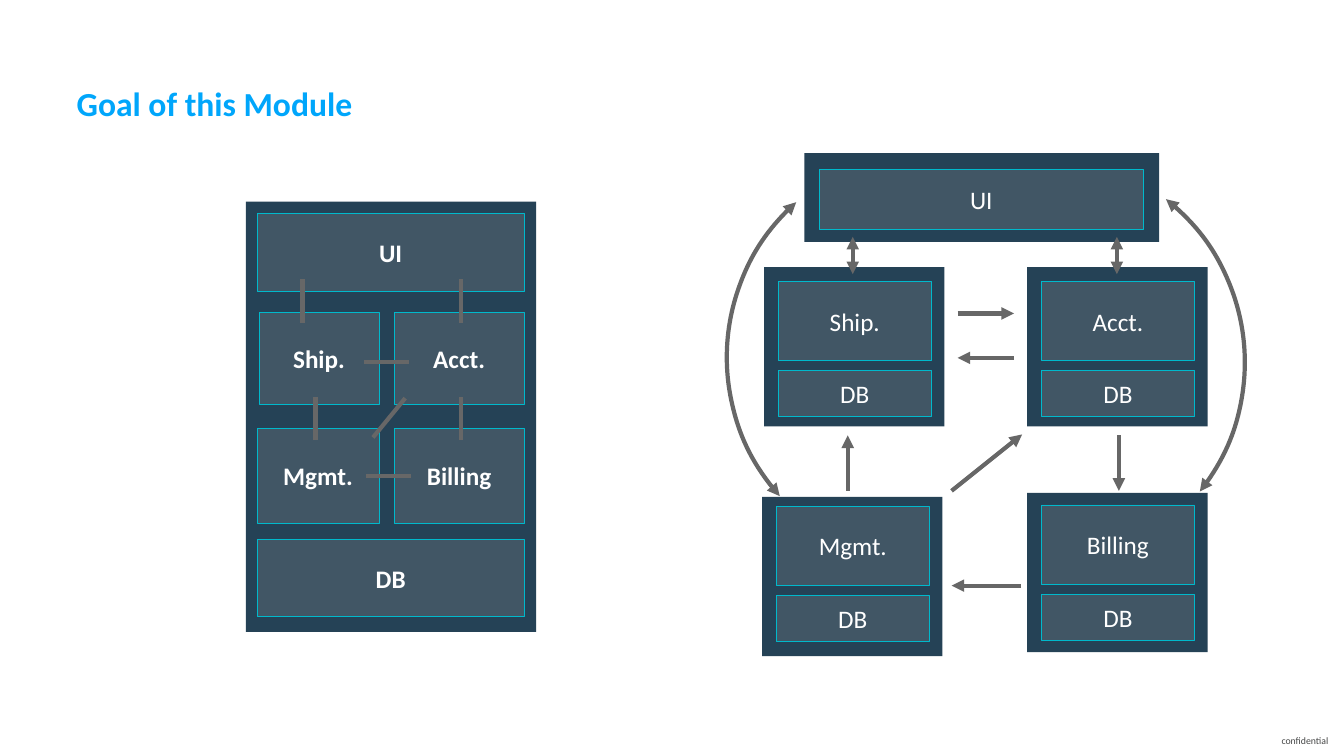
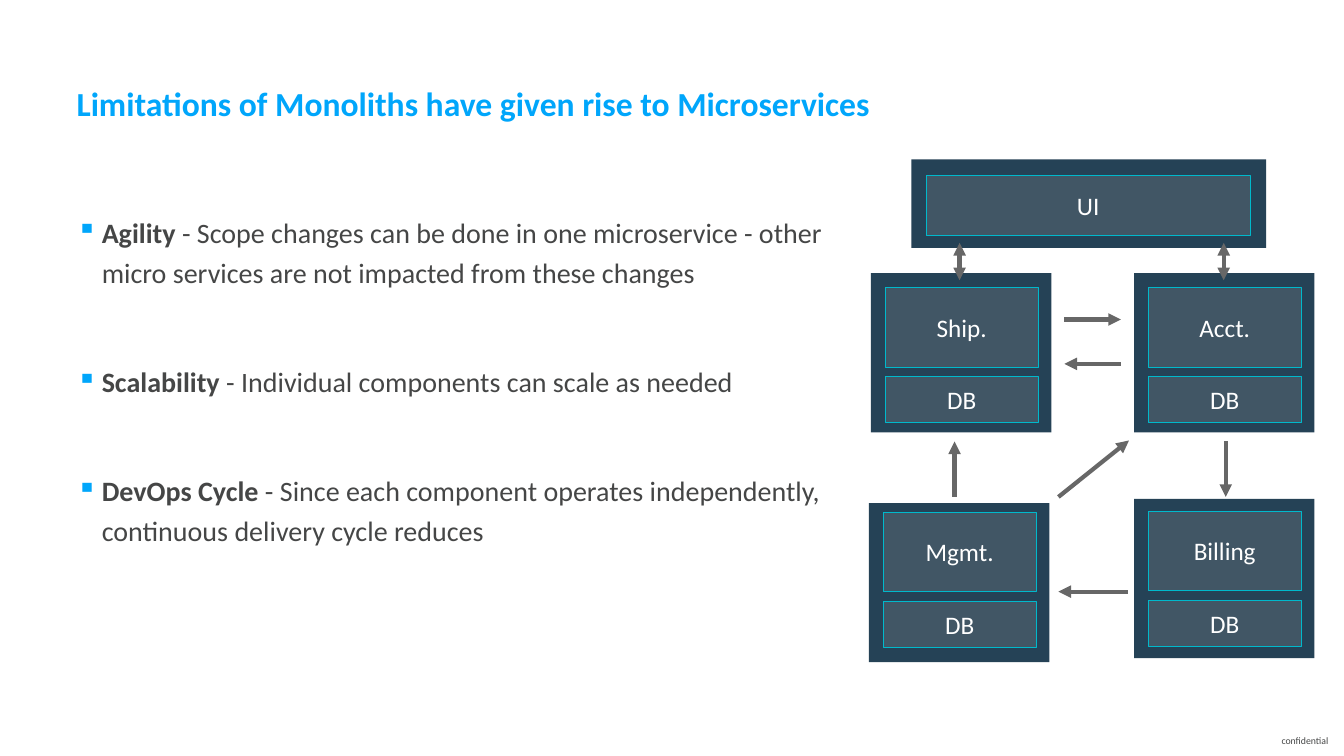
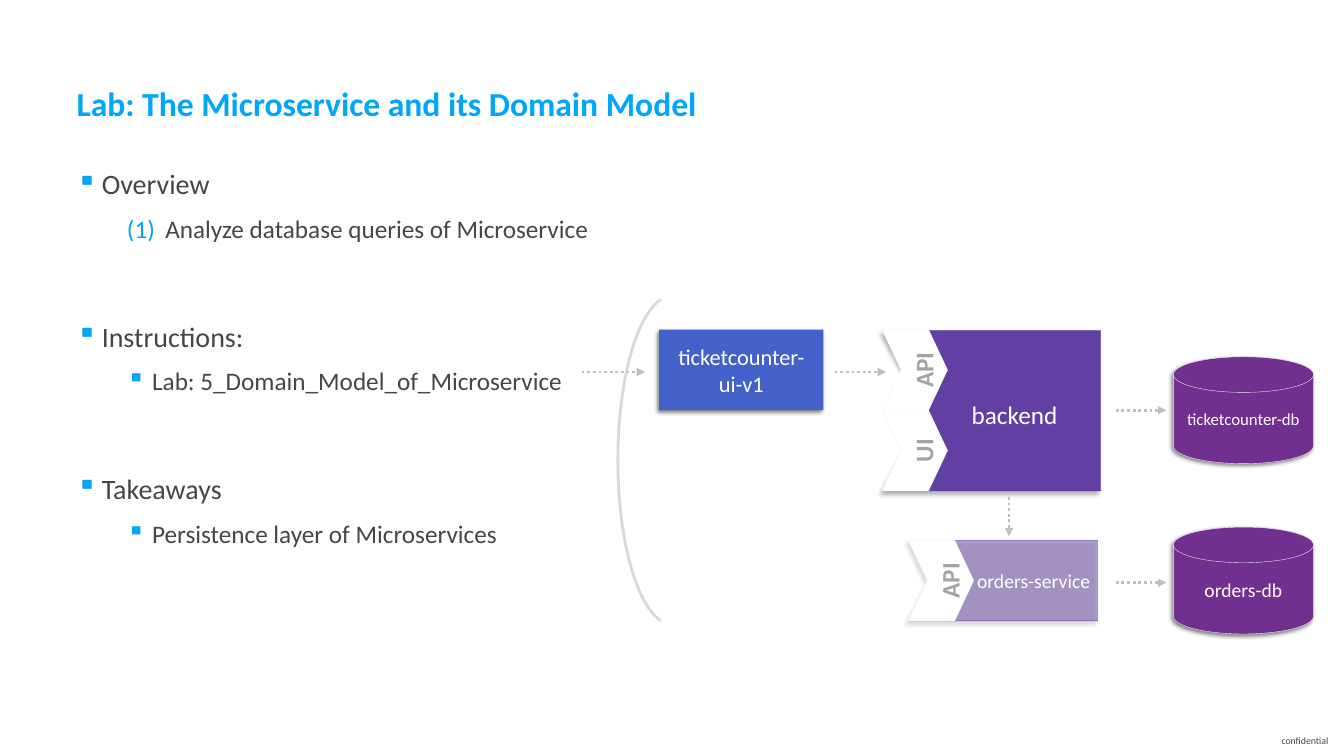
from dataclasses import dataclass
from math import cos, radians, sin

from lxml.etree import SubElement
from pptx import Presentation
from pptx.dml.color import RGBColor
from pptx.enum.dml import MSO_LINE as Dash
from pptx.enum.shapes import MSO_CONNECTOR as Connector, MSO_SHAPE as Preset
from pptx.enum.text import MSO_ANCHOR as Anchor, PP_ALIGN as Align
from pptx.oxml.ns import qn
from pptx.util import Inches, Pt


@dataclass(frozen=True)
class Theme:
    font: str = "Calibri"
    title: str = "00A6FB"
    body: str = "454646"
    white: str = "FFFFFF"
    frame: str = "254256"
    tile: str = "415665"
    tile_edge: str = "00B9CC"
    link: str = "676767"
    flow: str = "BFBFBF"
    bracket: str = "D9D9D9"
    pale_edge: str = "F2F2F2"
    port: str = "A2A3A3"
    frontend: str = "4361C8"
    backend: str = "6240A3"
    database: str = "712F90"
    title_size: int = 24
    body_size: int = 20
    label_size: int = 18
    medium_size: int = 16
    small_size: int = 14
    tiny_size: int = 12
    footer_size: int = 7


THEME = Theme()
SOFT_SHADOW = {"alpha": 30, "blur": 3, "distance": 3}
FIRM_SHADOW = {"alpha": 50, "blur": 3, "distance": 2}
NO_INSETS = (0, 0, 0, 0)
SECTION_GAP = 49


def grid(value):
    """Length of a number of grid cells; a cell is a tenth of an inch."""
    return Inches(value / 10)


def set_values(target, values):
    for name, value in values.items():
        setattr(target, name, value)


def add_xml(parent, tag, **attributes):
    return SubElement(parent, qn(tag), {k: str(v) for k, v in attributes.items()})


class Deck:
    """Style and current slide; all lengths are in grid cells."""

    columns, rows = 133.33, 75

    def __init__(self, theme):
        self.theme = theme
        self.presentation = Presentation()
        set_values(self.presentation, {"slide_width": grid(self.columns),
                                       "slide_height": grid(self.rows)})
        self.slide = None

    def new_slide(self, title):
        theme = self.theme
        self.slide = self.presentation.slides.add_slide(
            self.presentation.slide_layouts[6])
        self.label((122.9, 73, 13.1, 1), "confidential", theme.footer_size,
                   theme.body, insets=NO_INSETS, wrap=False)
        self.label((7.6, 6.2, 117.8, 7.3), title, theme.title_size, theme.title,
                   bold=True, align=Align.LEFT, insets=NO_INSETS, spacing=1.2)

    def add_run(self, paragraph, text, size, color, bold=False):
        run = paragraph.add_run()
        run.text = text
        set_values(run.font, {"name": self.theme.font, "size": Pt(size), "bold": bold})
        run.font.color.rgb = RGBColor.from_string(color)

    def frame(self, shape, insets=(1, 0.5, 1, 0.5), anchor=Anchor.MIDDLE, wrap=True):
        left, top, right, bottom = map(grid, insets)
        set_values(shape.text_frame, {
            "margin_left": left, "margin_top": top, "margin_right": right,
            "margin_bottom": bottom, "vertical_anchor": anchor, "word_wrap": wrap})
        return shape.text_frame

    def set_text(self, shape, text, size, color, bold=False, align=Align.CENTER,
                 spacing=1, **frame_values):
        paragraph = self.frame(shape, **frame_values).paragraphs[0]
        set_values(paragraph, {"alignment": align, "line_spacing": spacing})
        self.add_run(paragraph, text, size, color, bold)

    def label(self, box, text, size, color, rotation=0, **text_values):
        shape = self.slide.shapes.add_textbox(*map(grid, box))
        shape.rotation = rotation
        self.set_text(shape, text, size, color, **text_values)

    def paint(self, shape, fill=None, line=None, width=0.5, alpha=None, shadow=None):
        properties = shape._element.spPr
        for part, color in ((shape.fill, fill), (shape.line.fill, line)):
            if color is None:
                part.background()
            else:
                part.solid()
                part.fore_color.rgb = RGBColor.from_string(color)
        if line:
            shape.line.width = Pt(width)
        if alpha:
            color = properties.find(qn("a:solidFill") + "/" + qn("a:srgbClr"))
            add_xml(color, "a:alpha", val=alpha * 1000)
        shape.shadow.inherit = False
        if shadow:
            outer = add_xml(properties.find(qn("a:effectLst")), "a:outerShdw",
                            blurRad=Pt(shadow["blur"]), dist=Pt(shadow["distance"]),
                            dir=135 * 60000, algn="tr", rotWithShape=0)
            color = add_xml(outer, "a:srgbClr", val="000000")
            add_xml(color, "a:alpha", val=shadow["alpha"] * 1000)

    def shape(self, preset, box, **paint_values):
        shape = self.slide.shapes.add_shape(preset, *map(grid, box))
        self.paint(shape, **paint_values)
        return shape

    def outline(self, points, close=True, **paint_values):
        corners = [tuple(map(grid, point)) for point in points]
        builder = self.slide.shapes.build_freeform(*corners[0], scale=1.0)
        builder.add_line_segments(corners[1:], close=close)
        self.paint(builder.convert_to_shape(), **paint_values)

    def tile(self, box, text, bold=False):
        theme = self.theme
        shape = self.shape(Preset.RECTANGLE, box, fill=theme.tile, line=theme.tile_edge)
        self.set_text(shape, text, theme.label_size, theme.white, bold)

    def panel(self, box):
        self.shape(Preset.RECTANGLE, box, fill=self.theme.frame)

    def arrowheads(self, shape, head, tail):
        line = shape._element.spPr.find(qn("a:ln"))
        for wanted, tag in ((head, "a:headEnd"), (tail, "a:tailEnd")):
            if wanted:
                add_xml(line, tag, type="triangle")

    def connect(self, start, end, color=None, width=3, head=False, tail=False, dash=None):
        line = self.slide.shapes.add_connector(
            Connector.STRAIGHT, *map(grid, (*start, *end)))
        line.line.color.rgb = RGBColor.from_string(color or self.theme.link)
        line.line.width = Pt(width)
        if dash:
            line.line.dash_style = dash
        self.arrowheads(line, head, tail)
        add_xml(line._element.spPr, "a:effectLst")

    def flow(self, start, end):
        self.connect(start, end, self.theme.flow, 2, tail=True, dash=Dash.ROUND_DOT)

    def round_trip(self, box, rotation):
        arc = self.shape(Preset.ARC, box, line=self.theme.link, width=3)
        arc.rotation = rotation
        self.arrowheads(arc, True, True)

    def bullets(self, box, items):
        """Items are (level, space before, runs); a run is (text, bold)."""
        theme = self.theme
        shape = self.slide.shapes.add_textbox(*map(grid, box))
        text_frame = self.frame(shape, NO_INSETS, Anchor.TOP)
        # level: text indent, hanging indent, size, numbered
        levels = {"point": (2.5, 2.5, theme.body_size, False),
                  "detail": (7.5, 2.5, theme.label_size, False),
                  "step": (8.8, 3.8, theme.label_size, True)}
        for index, (level, space, runs) in enumerate(items):
            paragraph = text_frame.add_paragraph() if index else text_frame.paragraphs[0]
            indent, hanging, size, numbered = levels[level]
            set_values(paragraph, {"line_spacing": 1.2, "space_before": Pt(space)})
            properties = paragraph._p.get_or_add_pPr()
            properties.set("marL", str(grid(indent)))
            properties.set("indent", str(-grid(hanging)))
            add_xml(add_xml(properties, "a:buClr"), "a:srgbClr", val=theme.title)
            if numbered:
                add_xml(properties, "a:buAutoNum", type="arabicParenBoth")
            else:
                add_xml(properties, "a:buChar", char="▪")
            for text, bold in runs:
                self.add_run(paragraph, text, size, theme.body, bold)

    def port(self, left, top, text):
        """White chevron with an upright label."""
        theme = self.theme
        chevron = self.shape(Preset.CHEVRON, (left, top, 6.5, 8), fill=theme.white,
                             line=theme.pale_edge, width=0.25)
        chevron.adjustments[0] = 0.29
        self.label((left + 0.1, top + 2.4, 8, 3.2), text, theme.label_size,
                   theme.port, rotation=270, bold=True)

    def database(self, top, text, size):
        theme = self.theme
        disk = self.shape(Preset.FLOWCHART_MAGNETIC_DISK, (116.4, top, 13.9, 10.6),
                          fill=theme.database, line=theme.pale_edge, width=0.25,
                          shadow=FIRM_SHADOW)
        self.set_text(disk, text, size, theme.white)


def draw_monolith(deck):
    deck.panel((24.4, 20, 28.8, 42.7))
    for box, name in (((25.5, 21.2, 26.5, 7.7), "UI"),
                      ((25.7, 31, 11.9, 9.1), "Ship."),
                      ((39.1, 31, 12.9, 9.1), "Acct."),
                      ((25.5, 42.5, 12.1, 9.4), "Mgmt."),
                      ((39.1, 42.5, 12.9, 9.4), "Billing"),
                      ((25.5, 53.5, 26.5, 7.7), "DB")):
        deck.tile(box, name, bold=True)
    for start, end in (((36.1, 35.9), (40.6, 35.9)), ((37, 43.4), (40.2, 39.5)),
                       ((36.3, 47.2), (40.8, 47.2)), ((30, 32), (30, 27.7)),
                       ((45.7, 32), (45.7, 27.7)), ((45.7, 43.7), (45.7, 39.4)),
                       ((31.3, 43.7), (31.3, 39.4))):
        deck.connect(start, end)


def draw_microservices(deck, left, top):
    """The UI and four services, with the UI panel's corner at left, top."""
    deck.panel((left, top, 35.2, 8.8))
    deck.tile((left + 1.5, top + 1.6, 32.1, 6), "UI")
    for column, row, padding, name in ((-4, 11.3, 1.4, "Ship."),
                                       (22.1, 11.3, 1.4, "Acct."),
                                       (-4.2, 34.1, 0.9, "Mgmt."),
                                       (22.1, 33.7, 1.2, "Billing")):
        x, y = left + column, top + row
        deck.panel((x, y, 17.9, 15.8))
        deck.tile((x + 1.4, y + padding, 15.2, 7.9), name)
        deck.tile((x + 1.4, y + padding + 8.85, 15.2, 4.6), "DB")
    for x1, y1, x2, y2, both_ways in ((15.2, 15.9, 20.8, 15.9, False),
                                      (20.8, 20.3, 15.2, 20.3, False),
                                      (14.6, 33.5, 21.6, 27.9, False),
                                      (31.2, 28, 31.2, 33.5, False),
                                      (4.3, 33.5, 4.3, 28, False),
                                      (21.5, 42.9, 14.6, 42.9, False),
                                      (4.8, 12, 4.8, 8.3, True),
                                      (31, 12, 31, 8.3, True)):
        deck.connect((left + x1, top + y1), (left + x2, top + y2),
                     head=both_ways, tail=True)


def draw_service(deck, left, top, right, bottom, notch, alpha=None):
    """Block whose left side is cut in to the notch point."""
    deck.outline([(left, top), (right, top), (right, bottom), (left, bottom), notch],
                 fill=THEME.backend, line=THEME.backend, width=0.25, alpha=alpha,
                 shadow=SOFT_SHADOW)


def draw_lab(deck):
    draw_service(deck, 87.6, 32.8, 109.2, 48.7, (91.9, 40.7))
    angles = [radians(-78 + 4 * step) for step in range(40)]
    deck.outline([(66.7 - 5.4 * cos(a), 45.65 + 16.3 * sin(a)) for a in angles],
                 close=False, line=THEME.bracket, width=2)
    frontend = deck.shape(Preset.RECTANGLE, (65.4, 32.7, 16.3, 8),
                          fill=THEME.frontend, shadow=FIRM_SHADOW)
    deck.set_text(frontend, "ticketcounter-ui-v1", THEME.medium_size, THEME.white,
                  insets=(1.3, 0.5, 1.3, 0.5))
    deck.label((92.5, 39.1, 16.3, 4), "backend", THEME.label_size, THEME.white)
    deck.port(87.5, 32.7, "API")
    deck.port(87.5, 40.7, "UI")

    draw_service(deck, 90.2, 53.6, 108.9, 61.6, (92.2, 57.8), alpha=47)
    deck.port(90.1, 53.6, "API")
    deck.label((94.4, 55.9, 16.3, 3.4), "orders-service", THEME.small_size, THEME.white)

    for start, end in (((57.7, 36.9), (64, 36.9)), ((82.8, 36.9), (87.9, 36.9)),
                       ((110.7, 40.7), (115.7, 40.7)), ((100.1, 49.3), (100.1, 53.2)),
                       ((110.7, 57.8), (115.7, 57.8))):
        deck.flow(start, end)
    deck.database(35.4, "ticketcounter-db", THEME.tiny_size)
    deck.database(52.3, "orders-db", THEME.small_size)


def main():
    deck = Deck(THEME)

    deck.new_slide("Goal of this Module")
    draw_monolith(deck)
    draw_microservices(deck, 79.8, 15.2)
    deck.round_trip((72.1, 14.8, 41.3, 41.3), 228.2)
    deck.round_trip((82.2, 15.3, 41.3, 41.3), 38.4)

    deck.new_slide("Limitations of Monoliths have given rise to Microservices")
    benefits = (
        ("Agility", " - Scope changes can be done in one microservice - other "
                    "micro services are not impacted from these changes"),
        ("Scalability", " - Individual components can scale as needed"),
        ("DevOps Cycle", " - Since each component operates independently, "
                         "continuous delivery cycle reduces"))
    deck.bullets((7.6, 20.7, 74.7, 45.2),
                 [("point", SECTION_GAP if index else 0, ((name, True), (text, False)))
                  for index, (name, text) in enumerate(benefits)])
    draw_microservices(deck, 90.4, 15.8)

    deck.new_slide("Lab: The Microservice and its Domain Model")
    sections = (("Overview", "step", "Analyze database queries of Microservice"),
                ("Instructions:", "detail", "Lab: 5_Domain_Model_of_Microservice"),
                ("Takeaways", "detail", "Persistence layer of Microservices"))
    items = []
    for index, (heading, level, text) in enumerate(sections):
        items += [("point", SECTION_GAP if index else 0, ((heading, False),)),
                  (level, 5, ((text, False),))]
    deck.bullets((7.6, 15.9, 51.3, 50), items)
    draw_lab(deck)

    deck.presentation.save("out.pptx")


if __name__ == "__main__":
    main()
